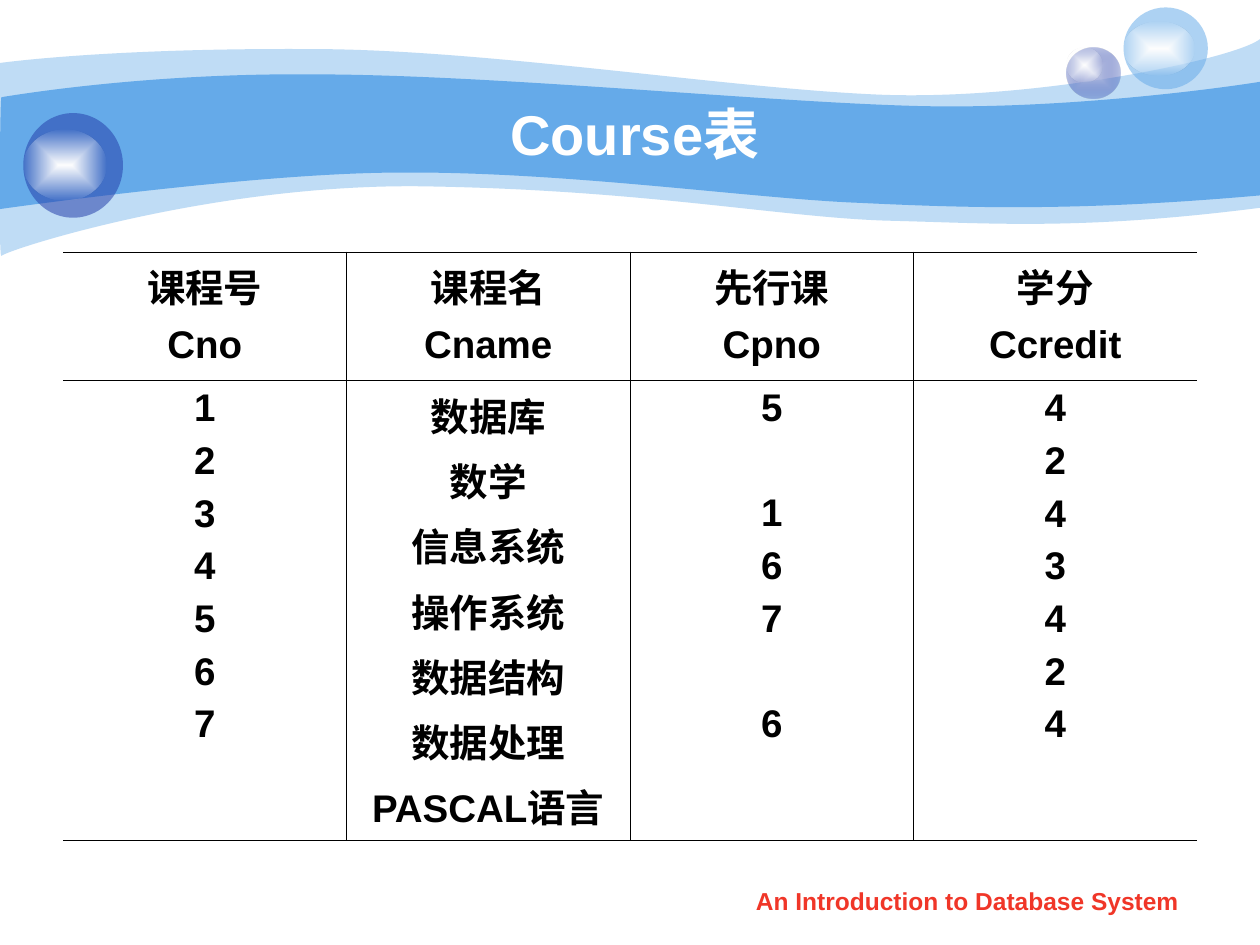
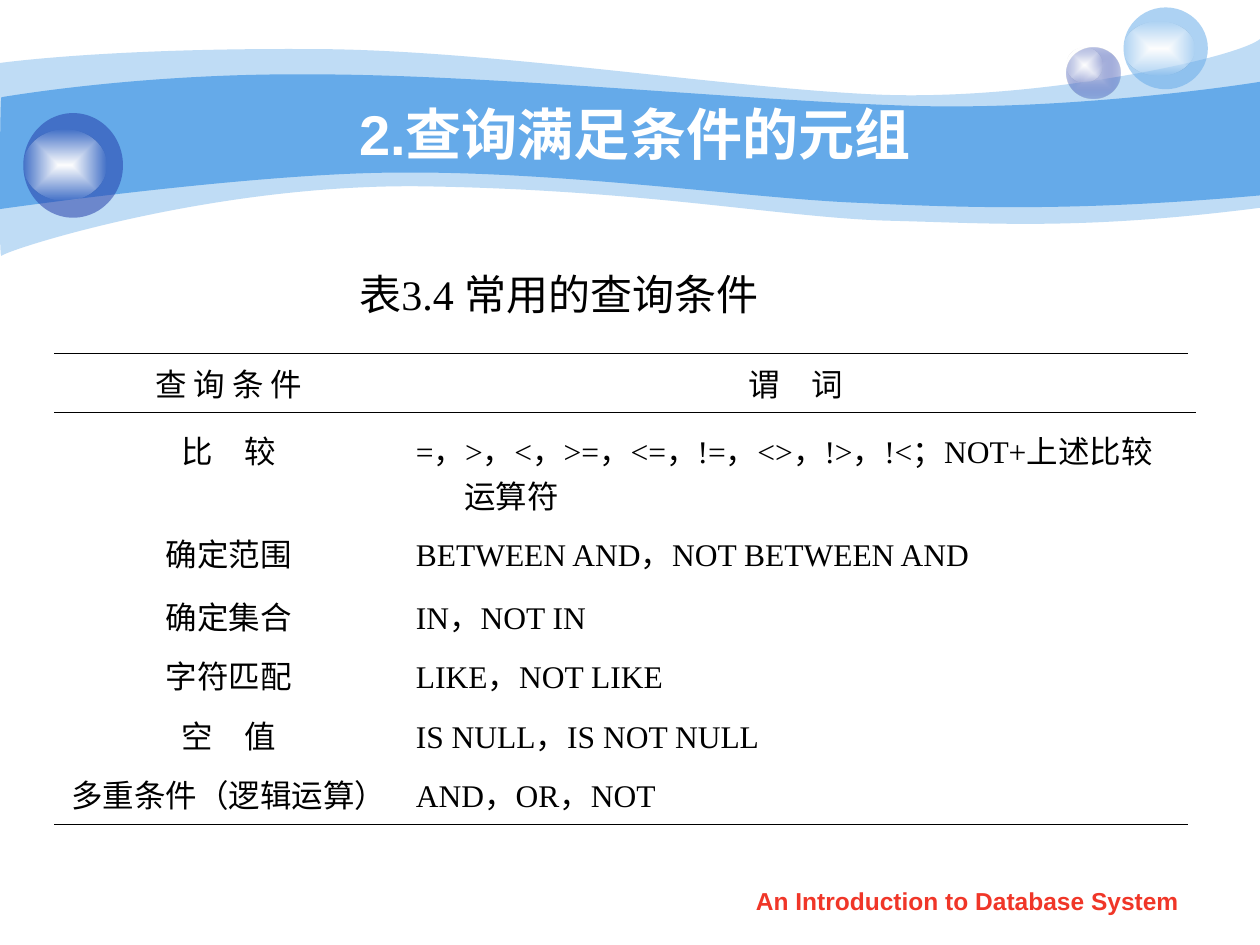
from typing import NamedTuple

from lxml import etree
from pptx import Presentation
from pptx.dml.color import RGBColor
from pptx.enum.shapes import MSO_CONNECTOR, MSO_SHAPE
from pptx.enum.text import MSO_ANCHOR, PP_ALIGN
from pptx.oxml import parse_xml
from pptx.oxml.ns import qn
from pptx.util import Cm, Pt

WHITE = RGBColor(0xFF, 0xFF, 0xFF)
CLEAR_WHITE = RGBColor(0xFE, 0xFE, 0xFE)
BLACK = RGBColor(0, 0, 0)
SKY = RGBColor(0x65, 0xAA, 0xE9)
NAVY = RGBColor(0x23, 0x3D, 0xA9)
LAVENDER = RGBColor(0xC6, 0xCC, 0xE8)
RED = RGBColor(0xF0, 0x36, 0x28)

TITLE = {"size": Pt(32), "name": "Arial", "bold": True, "color": WHITE}
FOOTER = {"size": Pt(14), "name": "Arial", "bold": True, "color": RED}
COURSE = {"size": Pt(22), "name": "Arial", "bold": True, "color": BLACK}
CAPTION = {"size": Pt(24), "name": "Times New Roman", "color": BLACK}
PREDICATE = {"size": Pt(18), "name": "Times New Roman", "color": BLACK}

A_NS = "http://schemas.openxmlformats.org/drawingml/2006/main"
NO_STYLE = "{2D5ABB26-0587-4C30-8999-92F81FD0307C}"
SIDES = ("L", "R", "T", "B")
SPACE_BEFORE = 5.5
EMPTY_LINE = 30
HANGING = Cm(0.97)
WIDE_GAP = "_"  # drawn as one space with wide character spacing
WIDE_SPACING = 1350


class Box(NamedTuple):
    """Left, top, width and height in centimetres."""
    x: float
    y: float
    w: float
    h: float

    def emu(self):
        return [Cm(v) for v in self]


TITLE_BOX = Box(2.54, 1.9, 20.52, 1.57)
FOOTER_BOX = Box(14.5, 17.73, 10.01, 0.89)

# Outlines in cm: a start point, then curves (three points) or lines (one point).
PALE_BAND = [
    (0, 1.27),
    [(0.61, 1.19), (2.72, 0.97), (6.27, 0.99)],
    [(9.8, 0.99), (14.61, 1.78), (17.75, 1.91)],
    [(20.88, 2.03), (24.89, 1.19), (25.4, 0.79)],
    [(25.4, 4.19)],
    [(21.79, 4.65), (19.99, 4.5), (17.91, 4.45)],
    [(15.8, 4.39), (13.08, 3.84), (8.71, 3.76)],
    [(4.37, 3.66), (0.1, 5.05), (0.03, 5.16)],
    [(-0.03, 5.28), (0, 1.91), (0, 1.27)],
]
BLUE_BAND = [
    (0.03, 1.96),
    [(0.05, 1.96), (2.79, 1.47), (6.3, 1.5)],
    [(9.8, 1.5), (15.11, 2.03), (18.24, 2.13)],
    [(21.36, 2.24), (24.79, 1.75), (25.4, 1.65)],
    [(25.4, 3.94)],
    [(21.67, 4.27), (19.43, 4.19), (17.32, 4.09)],
    [(15.21, 4.01), (11.35, 3.45), (8.05, 3.48)],
    [(5.16, 3.48), (-0.05, 4.22), (-0.03, 4.22)],
    [(0, 4.22), (0, 1.96), (0.03, 1.96)],
]

COURSE_HEADS = [["课程号", "Cno"], ["课程名", "Cname"],
                ["先行课", "Cpno"], ["学分", "Ccredit"]]
COURSES = [
    ("1", "数据库", "5", "4"),
    ("2", "数学", None, "2"),
    ("3", "信息系统", "1", "4"),
    ("4", "操作系统", "6", "3"),
    ("5", "数据结构", "7", "4"),
    ("6", "数据处理", None, "2"),
    ("7", "PASCAL语言", "6", "4"),
]
CONDITIONS = [
    ("查 询 条 件", "谓_词"),
    ("比_较", "=，>，<，>=，<=，!=，<>，!>，!<；NOT+上述比较运算符"),
    ("确定范围", "BETWEEN AND，NOT BETWEEN AND"),
    ("确定集合", "IN，NOT IN"),
    ("字符匹配", "LIKE，NOT LIKE"),
    ("空_值", "IS NULL，IS NOT NULL"),
    ("多重条件（逻辑运算）", "AND，OR，NOT"),
]


def write(p, text, style, align=PP_ALIGN.CENTER):
    p.alignment = align
    for part in filter(None, text.partition(WIDE_GAP)):
        r = p.add_run()
        r.text = part
        for key, value in style.items():
            if key == "color":
                r.font.color.rgb = value
            else:
                setattr(r.font, key, value)
        if part == WIDE_GAP:
            r.text = " "
            r._r.get_or_add_rPr().set("spc", str(WIDE_SPACING))


def add_text(s, box, text, style, anchor=MSO_ANCHOR.TOP):
    tf = s.shapes.add_textbox(*box.emu()).text_frame
    tf.word_wrap = True
    tf.vertical_anchor = anchor
    write(tf.paragraphs[0], text, style)


def set_alpha(color_element, percent):
    alpha = etree.SubElement(color_element, qn("a:alpha"))
    alpha.set("val", str(percent * 1000))


def paint(sp, color, alpha=100):
    sp.shadow.inherit = False
    sp.line.fill.background()
    sp.fill.solid()
    sp.fill.fore_color.rgb = color
    if alpha < 100:
        set_alpha(sp.fill._xPr.find(qn("a:solidFill"))[0], alpha)


def paint_glow(sp, inner, outer, alpha):
    """Fill from the centre outwards, with the outer colour partly clear."""
    paint(sp, inner)
    grad = parse_xml(
        f'<a:gradFill xmlns:a="{A_NS}" rotWithShape="1"><a:gsLst>'
        f'<a:gs pos="0"><a:srgbClr val="{inner}"/></a:gs>'
        f'<a:gs pos="100000"><a:srgbClr val="{outer}"/></a:gs></a:gsLst>'
        '<a:path path="rect"><a:fillToRect l="50000" t="50000" r="50000" b="50000"/>'
        '</a:path></a:gradFill>')
    set_alpha(grad[0][1][0], alpha)
    solid = sp.fill._xPr.find(qn("a:solidFill"))
    solid.getparent().replace(solid, grad)


def add_band(s, outline, color, alpha=100):
    """Build the outline from its control points, then bend triples into curves."""
    start, *segments = outline
    builder = s.shapes.build_freeform(Cm(start[0]), Cm(start[1]))
    builder.add_line_segments([(Cm(x), Cm(y)) for seg in segments for x, y in seg],
                              close=True)
    sp = builder.convert_to_shape()
    steps = iter(list(sp._element.iter(qn("a:lnTo"))))
    for seg in segments:
        lines = [next(steps) for _ in seg]
        if len(lines) == 3:
            curve = etree.Element(qn("a:cubicBezTo"))
            lines[0].addprevious(curve)
            for line in lines:
                curve.append(line[0])
                line.getparent().remove(line)
    paint(sp, color, alpha)


def add_sphere(s, box, gloss_top, gloss_w, gloss_h):
    """Draw a ball with a highlight at its left side, and return the ball."""
    ball = s.shapes.add_shape(MSO_SHAPE.OVAL, *box.emu())
    gloss_box = Box(box.x, box.y + gloss_top, gloss_w, gloss_h)
    gloss = s.shapes.add_shape(MSO_SHAPE.OVAL, *gloss_box.emu())
    paint_glow(gloss, WHITE, CLEAR_WHITE, 0)
    return ball


def add_base_slide(prs, title):
    s = prs.slides.add_slide(prs.slide_layouts[6])
    add_band(s, PALE_BAND, SKY, 41)
    add_band(s, BLUE_BAND, SKY)
    paint_glow(add_sphere(s, Box(21.51, 0.97, 1.07, 1.02), 0, 0.71, 0.69),
               LAVENDER, NAVY, 31)
    paint(add_sphere(s, Box(22.65, 0.15, 1.7, 1.65), 0.28, 1.42, 1.09), SKY, 53)
    paint(add_sphere(s, Box(0.47, 2.28, 2.01, 2.11), 0.34, 1.68, 1.42), NAVY, 53)
    add_text(s, TITLE_BOX, title, TITLE, MSO_ANCHOR.MIDDLE)
    add_text(s, FOOTER_BOX, "An Introduction to Database System", FOOTER)
    return s


def add_plain_table(s, box, col_widths, row_heights):
    frame = s.shapes.add_table(len(row_heights), len(col_widths), *box.emu())
    table = frame.table
    table.first_row = table.horz_banding = False
    table._tbl.tblPr.find(qn("a:tableStyleId")).text = NO_STYLE
    for col, width in zip(table.columns, col_widths):
        col.width = Cm(width)
    for row, height in zip(table.rows, row_heights):
        row.height = Cm(height)
    for cell in table.iter_cells():
        cell.fill.background()
    return table


def set_borders(cell, sides):
    tcPr = cell._tc.get_or_add_tcPr()
    drawn = [side for side in SIDES if side in sides]
    for i, side in enumerate(drawn):
        tcPr.insert(i, parse_xml(
            f'<a:ln{side} xmlns:a="{A_NS}" w="{Pt(0.45)}"><a:solidFill>'
            f'<a:srgbClr val="{BLACK}"/></a:solidFill></a:ln{side}>'))


def write_lines(cell, lines):
    """Write one paragraph per value; a missing value widens the next gap."""
    tf = cell.text_frame
    gap, p = SPACE_BEFORE, tf.paragraphs[0]
    for line in lines:
        if line is None:
            gap += EMPTY_LINE
            continue
        p = p or tf.add_paragraph()
        p.space_before = Pt(gap)
        write(p, line, COURSE)
        gap, p = SPACE_BEFORE, None


def add_course_table(s, box):
    count = len(COURSE_HEADS)
    table = add_plain_table(s, box, [box.w / count] * count, [2.59, box.h - 2.59])
    for c, (head, values) in enumerate(zip(COURSE_HEADS, zip(*COURSES))):
        sides = "TB" + ("L" if c else "") + ("R" if c < count - 1 else "")
        for r, lines in enumerate((head, values)):
            write_lines(table.cell(r, c), lines)
            set_borders(table.cell(r, c), sides)


def add_condition_table(s, box):
    heights = [1.35, 2.08, 1.27] + [1.2] * 4
    table = add_plain_table(s, box, [7.04, box.w - 7.04], heights)
    last = len(CONDITIONS) - 1
    for r, row in enumerate(CONDITIONS):
        for c, text in enumerate(row):
            cell = table.cell(r, c)
            p = cell.text_frame.paragraphs[0]
            write(p, text, PREDICATE, PP_ALIGN.LEFT if r and c else PP_ALIGN.CENTER)
            pPr = p._p.get_or_add_pPr()
            pPr.set("marL", str(HANGING))
            pPr.set("indent", str(-HANGING))
            set_borders(cell, {0: "T", last: "B"}.get(r, ""))
    add_rule(s, box.x, box.y + 1.2, box.w + 0.15)


def add_rule(s, x, y, width):
    line = s.shapes.add_connector(MSO_CONNECTOR.STRAIGHT,
                                  Cm(x), Cm(y), Cm(x + width), Cm(y))
    line.line.color.rgb = BLACK
    line.line.width = Pt(0.75)
    etree.SubElement(line._element.spPr, qn("a:effectLst"))


def main():
    prs = Presentation()
    prs.slide_width, prs.slide_height = Cm(25.4), Cm(19.05)

    s = add_base_slide(prs, "Course表")
    add_course_table(s, Box(1.27, 5.08, 22.86, 11.86))

    s = add_base_slide(prs, "2.查询满足条件的元组")
    add_condition_table(s, Box(1.09, 7.12, 22.86, 9.5))
    add_text(s, Box(5.84, 5.28, 10.85, 1.27), "表3.4 常用的查询条件", CAPTION)

    prs.save("out.pptx")


if __name__ == "__main__":
    main()
